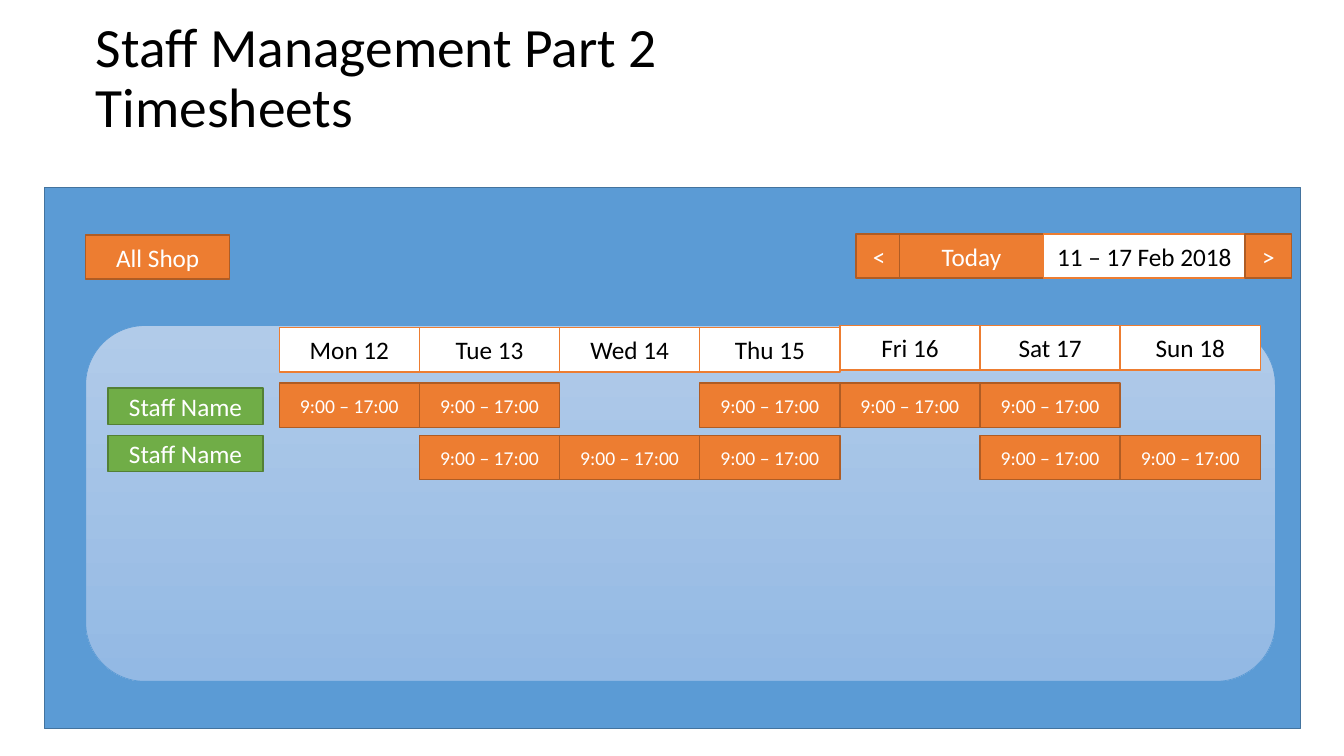
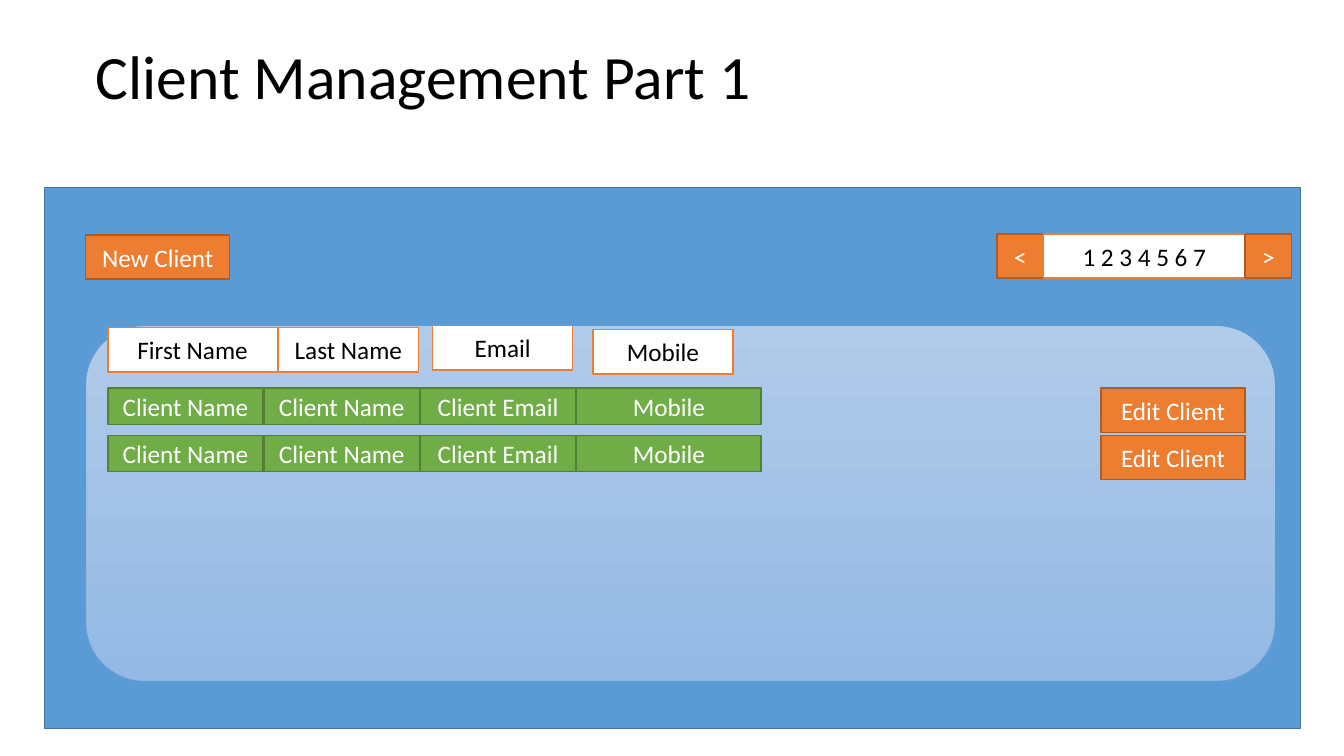
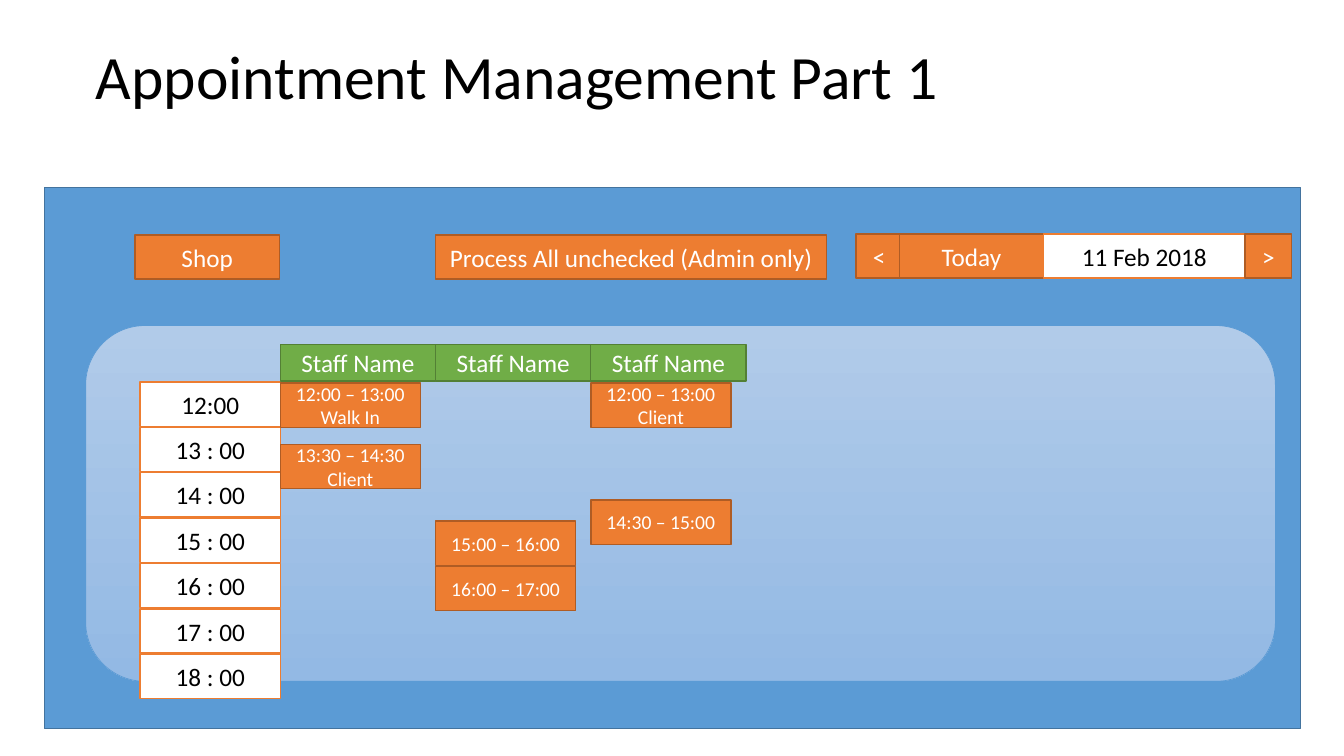
from pptx import Presentation
from pptx.dml.color import RGBColor
from pptx.enum.shapes import MSO_SHAPE
from pptx.enum.text import MSO_ANCHOR, MSO_AUTO_SIZE, PP_ALIGN
from pptx.util import Inches, Pt

FONT = "Calibri"
STYLES = {
    "frame": {"fill": "5B9BD5", "line": "43739E", "text": "FFFFFF", "size": 18},
    "button": {"fill": "ED7D31", "line": "AF5C24", "text": "FFFFFF", "size": 18},
    "slot": {"fill": "ED7D31", "line": "AF5C24", "text": "FFFFFF", "size": 14},
    "header": {"fill": "FFFFFF", "line": "ED7D31", "text": "000000", "size": 18},
    "name": {"fill": "70AD47", "line": "538035", "text": "FFFFFF", "size": 18},
}
PANEL_GRADIENT = ("B1CBE9", "93B9E4")
PANEL_LINE = "5B9BD5"

TIMESHEETS = {
    "title": "Staff Management Part 2\vTimesheets", "size": 39.6,
    "buttons": [("All Shop", 0.85, 1.43)],
    "pager": {"back": 8.49, "today": True, "period": "11 – 17 Feb 2018"},
}
DAYS = ["Mon 12", "Tue 13", "Wed 14", "Thu 15", "Fri 16", "Sat 17", "Sun 18"]
SHIFT = "9:00 – 17:00"
STAFF_SHIFTS = [("Staff Name", (0, 1, 3, 4, 5)), ("Staff Name", (1, 2, 3, 5, 6))]

CLIENTS = {
    "title": "Client Management Part 1", "size": 44,
    "buttons": [("New Client", 0.85, 1.43)],
    "pager": {"back": 9.89, "today": False, "period": "1 2 3 4 5 6 7"},
}
CLIENT_HEADERS = [
    ("First Name", 1.07, 3.25, 1.68), ("Last Name", 2.76, 3.25, 1.39),
    ("Email", 4.29, 3.23, 1.39), ("Mobile", 5.88, 3.27, 1.39),
]
CLIENT_FIELDS = [("Client Name", 1.54), ("Client Name", 1.54),
                 ("Client Email", 1.54), ("Mobile", 1.83)]
CLIENT_COUNT = 2

APPOINTMENTS = {
    "title": "Appointment Management Part 1", "size": 44,
    "buttons": [("Shop", 1.34, 1.43),
                ("Process All unchecked (Admin only)", 4.32, 3.88)],
    "pager": {"back": 8.49, "today": True, "period": "11 Feb 2018"},
}
HOURS = ["12:00", "13 : 00", "14 : 00", "15 : 00", "16 : 00", "17 : 00", "18 : 00"]
STAFF_BOOKINGS = [
    ("Staff Name", [("12:00 – 13:00 Walk In", 3.8), ("13:30 – 14:30\nClient", 4.41)]),
    ("Staff Name", [("15:00 – 16:00", 5.17), ("16:00 – 17:00", 5.62)]),
    ("Staff Name", [("12:00 – 13:00\nClient", 3.8), ("14:30 – 15:00", 4.96)]),
]

CELL_W, CELL_H = 1.39, 0.44
NAME_W, NAME_H = 1.54, 0.36
LIST_LEFT, GRID_LEFT = 1.07, 2.77
LIST_TOP, LIST_STEP = 3.85, 0.47
HOUR_TOP, HOUR_STEP = 3.79, 0.45
BAR_TOP = 2.32
ARROW_W, TODAY_W, PERIOD_W = 0.46, 1.43, 2
TODAY_LEFT, PERIOD_LEFT = 8.92, 10.35


def color(value):
    return RGBColor.from_string(value)


def apply(target, values):
    for key, value in values.items():
        setattr(target, key, value)


def box(slide, style, text, left, top, width, height=CELL_H, preset=MSO_SHAPE.RECTANGLE):
    look = STYLES[style]
    shape = slide.shapes.add_shape(preset, *map(Inches, (left, top, width, height)))
    shape.shadow.inherit = False
    shape.fill.solid()
    shape.fill.fore_color.rgb = color(look["fill"])
    shape.line.color.rgb = color(look["line"])
    shape.line.width = Pt(1)
    if text:
        frame = shape.text_frame
        apply(frame, {"text": text, "word_wrap": True, "vertical_anchor": MSO_ANCHOR.MIDDLE})
        for paragraph in frame.paragraphs:
            paragraph.alignment = PP_ALIGN.CENTER
            apply(paragraph.font, {"name": FONT, "size": Pt(look["size"])})
            paragraph.font.color.rgb = color(look["text"])
    return shape


def panel(slide):
    shape = box(slide, "frame", "", 0.85, 3.23, 11.8, 3.53,
                MSO_SHAPE.FLOWCHART_ALTERNATE_PROCESS)
    shape.fill.gradient()
    shape.fill.gradient_angle = 270
    for stop, shade in zip(shape.fill.gradient_stops, PANEL_GRADIENT):
        stop.color.rgb = color(shade)
    shape.line.color.rgb = color(PANEL_LINE)
    shape.line.width = Pt(0.5)


def pager(slide, back, today, period):
    box(slide, "button", "<", back, BAR_TOP, ARROW_W)
    if today:
        box(slide, "button", "Today", TODAY_LEFT, BAR_TOP, TODAY_W)
    box(slide, "header", period, PERIOD_LEFT, BAR_TOP, PERIOD_W)
    box(slide, "button", ">", PERIOD_LEFT + PERIOD_W, BAR_TOP, ARROW_W)


def screen(content):
    slide = deck.slides.add_slide(title_only)
    heading = slide.shapes.title.text_frame
    apply(heading, {"text": content["title"], "word_wrap": True,
                    "auto_size": MSO_AUTO_SIZE.NONE,
                    "vertical_anchor": MSO_ANCHOR.MIDDLE})
    line = heading.paragraphs[0]
    apply(line, {"alignment": PP_ALIGN.LEFT, "line_spacing": 0.9})
    apply(line.font, {"name": FONT, "size": Pt(content["size"])})
    line.font.color.rgb = color("000000")
    box(slide, "frame", "", 0.44, 1.86, 12.46, 5.37)
    panel(slide)
    pager(slide, **content["pager"])
    for label, left, width in content["buttons"]:
        box(slide, "button", label, left, BAR_TOP + 0.01, width)
    return slide


def timesheets():
    slide = screen(TIMESHEETS)
    for column, day in enumerate(DAYS):
        top = 3.25 if column < 4 else 3.23
        box(slide, "header", day, GRID_LEFT + column * CELL_W, top, CELL_W)
    for row, (staff, shifts) in enumerate(STAFF_SHIFTS):
        top = LIST_TOP + row * LIST_STEP
        box(slide, "name", staff, LIST_LEFT, top, NAME_W, NAME_H)
        for column in shifts:
            box(slide, "slot", SHIFT, GRID_LEFT + column * CELL_W,
                3.8 + row * 0.52, CELL_W)


def clients():
    slide = screen(CLIENTS)
    for label, left, top, width in CLIENT_HEADERS:
        box(slide, "header", label, left, top, width)
    for row in range(CLIENT_COUNT):
        top = LIST_TOP + row * LIST_STEP
        left = LIST_LEFT
        for field, width in CLIENT_FIELDS:
            box(slide, "name", field, left, top, width, NAME_H)
            left += width + 0.01
        box(slide, "button", "Edit Client", 10.92, top, TODAY_W)


def appointments():
    slide = screen(APPOINTMENTS)
    for row, hour in enumerate(HOURS):
        box(slide, "header", hour, GRID_LEFT - CELL_W + 0.01,
            HOUR_TOP + row * HOUR_STEP, CELL_W)
    for column, (staff, bookings) in enumerate(STAFF_BOOKINGS):
        left = GRID_LEFT + 0.01 + column * NAME_W
        box(slide, "name", staff, left, 3.42, NAME_W, NAME_H)
        for booking, top in bookings:
            box(slide, "slot", booking, left, top, CELL_W)


deck = Presentation()
apply(deck, {"slide_width": Inches(13.33), "slide_height": Inches(7.5)})
title_only = deck.slide_layouts[5]
apply(title_only.placeholders[0], {"left": Inches(0.85), "top": Inches(0.34),
                                   "width": Inches(11.5), "height": Inches(0.9)})
timesheets()
clients()
appointments()
deck.save("out.pptx")
